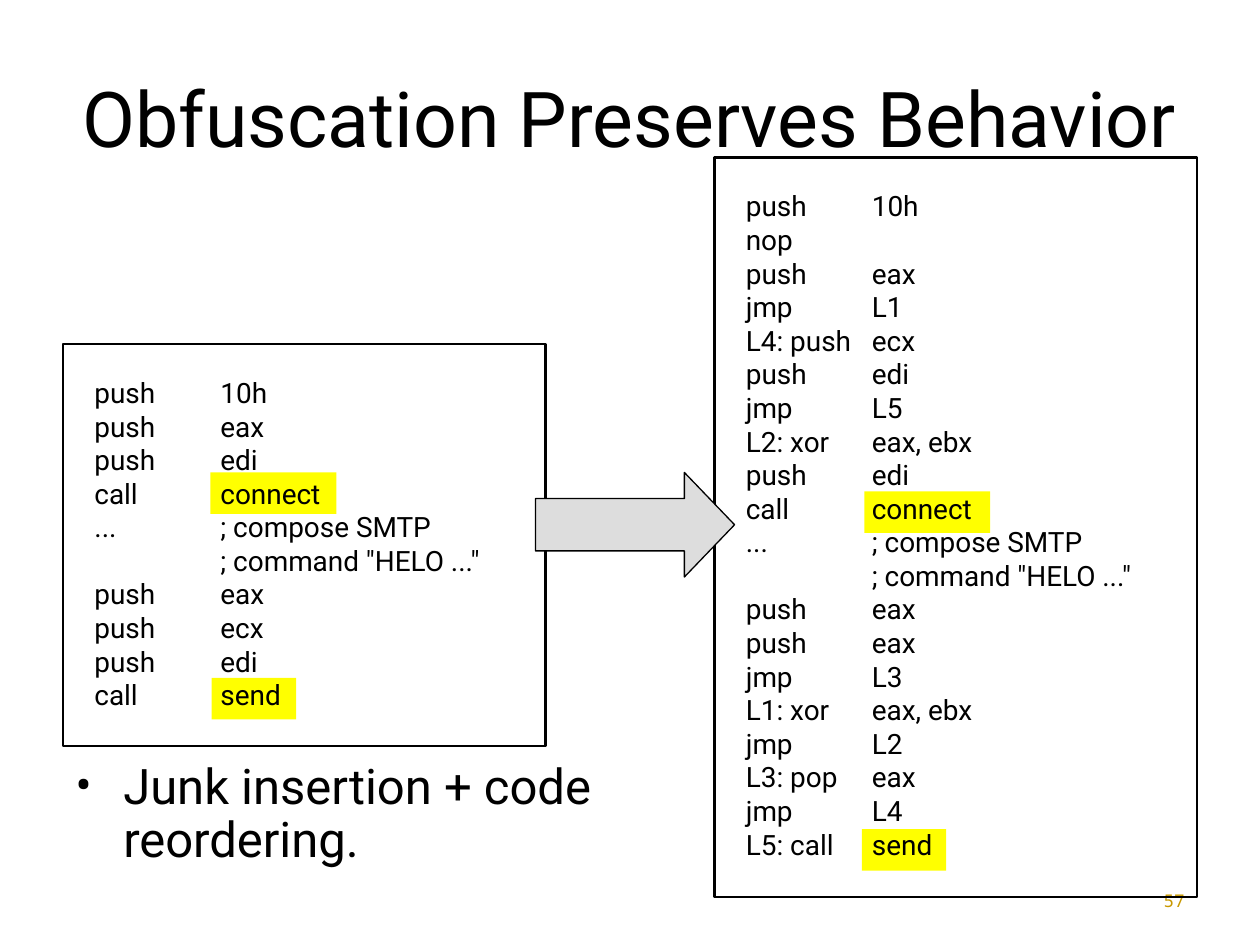
from lxml.etree import SubElement
from pptx import Presentation
from pptx.dml.color import RGBColor
from pptx.enum.shapes import MSO_SHAPE as Shape
from pptx.enum.text import MSO_ANCHOR as Anchor, PP_ALIGN as Align
from pptx.oxml.ns import qn
from pptx.util import Inches, Pt

TITLE = "Obfuscation Preserves Behavior"
BULLET = "Junk insertion + code reordering."
PAGE_NUMBER = "57"

# Each listing: box (left, top, width, height) and lines of (instruction, operand)
ORIGINAL_CODE = ((0.5, 2.73, 3.83, 3.19), [
    ("push", "10h"), ("push", "eax"), ("push", "edi"), ("call", "connect"),
    ("...", "; compose SMTP"), ("", '; command "HELO ..."'),
    ("push", "eax"), ("push", "ecx"), ("push", "edi"), ("call", "send"),
])
OBFUSCATED_CODE = ((5.67, 1.25, 3.83, 5.87), [
    ("push", "10h"), ("nop", ""), ("push", "eax"), ("jmp", "L1"),
    ("L4: push", "ecx"), ("push", "edi"), ("jmp", "L5"),
    ("L2: xor", "eax, ebx"), ("push", "edi"), ("call", "connect"),
    ("...", "; compose SMTP"), ("", '; command "HELO ..."'),
    ("push", "eax"), ("push", "eax"), ("jmp", "L3"),
    ("L1: xor", "eax, ebx"), ("jmp", "L2"), ("L3: pop", "eax"),
    ("jmp", "L4"), ("L5: call", "send"),
])
HIGHLIGHTS = [
    (1.67, 3.75, 1, 0.33), (1.68, 5.38, 0.67, 0.33),
    (6.86, 3.9, 1, 0.33), (6.84, 6.58, 0.67, 0.33),
]
ARROW_BOX = (4.25, 3.75, 1.58, 0.83)


def color(value):
    return RGBColor.from_string(value)


def inches(box):
    return [Inches(length) for length in box]


def style_text(text_frame, size, align=Align.LEFT, font="Roboto", text_color="000000"):
    for paragraph in text_frame.paragraphs:
        paragraph.alignment = align
        paragraph.font.size = Pt(size)
        paragraph.font.name = font
        paragraph.font.color.rgb = color(text_color)


def add_shape(slide, kind, box, fill=None, line_width=None):
    shape = slide.shapes.add_shape(kind, *inches(box))
    shape.shadow.inherit = False
    if fill:
        shape.fill.solid()
        shape.fill.fore_color.rgb = color(fill)
    else:
        shape.fill.background()
    if line_width:
        shape.line.color.rgb = color("000000")
        shape.line.width = Pt(line_width)
    else:
        shape.line.fill.background()
    return shape


def add_tab_stop(paragraph, position):
    tab_list = SubElement(paragraph._p.get_or_add_pPr(), qn("a:tabLst"))
    SubElement(tab_list, qn("a:tab"), pos=str(Inches(position)), algn="l")


def add_code(slide, box, lines):
    text_frame = add_shape(slide, Shape.RECTANGLE, box, line_width=1.5).text_frame
    text_frame.margin_left = text_frame.margin_right = Inches(0.25)
    text_frame.margin_top = text_frame.margin_bottom = Inches(0.25)
    text_frame.vertical_anchor = Anchor.TOP
    text_frame.text = "\n".join(
        f"{instruction}\t{operand}" if operand else instruction
        for instruction, operand in lines)
    for paragraph in text_frame.paragraphs:
        add_tab_stop(paragraph, 1)
    style_text(text_frame, 16)


def add_text(slide, box, text):
    text_frame = slide.shapes.add_textbox(*inches(box)).text_frame
    text_frame.word_wrap = True
    text_frame.text = text
    return text_frame


def add_bullet(paragraph):
    properties = paragraph._p.get_or_add_pPr()
    properties.set("marL", str(Inches(0.38)))
    properties.set("indent", str(-Inches(0.38)))
    SubElement(properties, qn("a:buFont"), typeface="Roboto")
    SubElement(properties, qn("a:buChar"), char="•")


def main():
    presentation = Presentation()
    presentation.slide_width, presentation.slide_height = Inches(10), Inches(7.5)
    slide = presentation.slides.add_slide(presentation.slide_layouts[5])

    page_number = add_text(slide, (7.17, 6.95, 2.33, 0.4), PAGE_NUMBER)
    page_number.vertical_anchor = Anchor.MIDDLE
    style_text(page_number, 10, Align.RIGHT, "Noto Sans Mono", "C99900")

    title = slide.shapes.title
    title.left, title.top, title.width, title.height = inches((0.5, 0.3, 9, 1.25))
    title.text_frame.text = TITLE
    title.text_frame.vertical_anchor = Anchor.MIDDLE
    style_text(title.text_frame, 44, Align.CENTER)

    for box in HIGHLIGHTS:
        add_shape(slide, Shape.RECTANGLE, box, fill="FFFF00")
    for box, lines in (OBFUSCATED_CODE, ORIGINAL_CODE):
        add_code(slide, box, lines)

    body = add_text(slide, (0.5, 6, 5.08, 1.08), BULLET)
    paragraph = body.paragraphs[0]
    paragraph.line_spacing = 0.9
    paragraph.space_before = Pt(5.6)
    add_bullet(paragraph)
    style_text(body, 28)

    arrow = add_shape(slide, Shape.RIGHT_ARROW, ARROW_BOX, "DDDDDD", 0.75)
    arrow.adjustments[0] = 0.5
    arrow.adjustments[1] = 0.48

    presentation.save("out.pptx")


if __name__ == "__main__":
    main()
